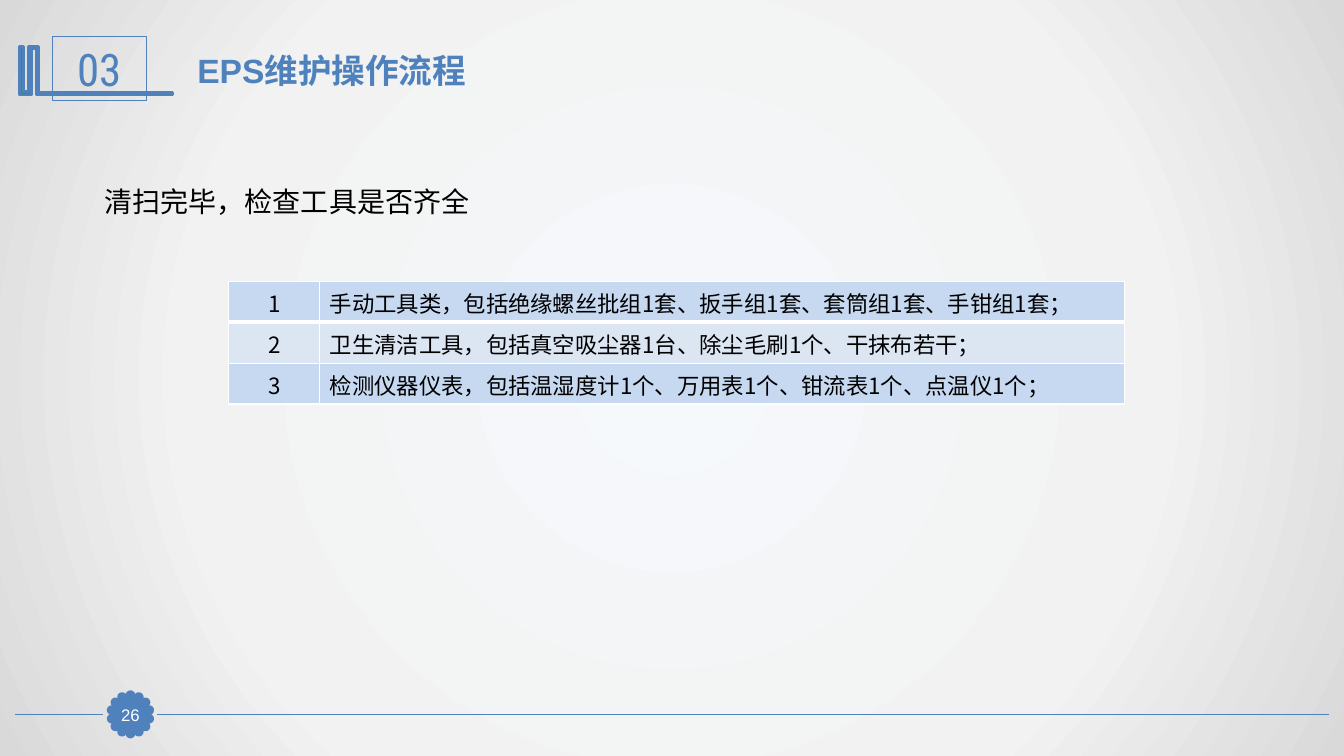
import math

from lxml import etree
from pptx import Presentation
from pptx.dml.color import RGBColor
from pptx.enum import shapes, text
from pptx.oxml import ns
from pptx.util import Pt

BLUE = RGBColor(0x4F, 0x81, 0xBD)
GREEN = RGBColor(0x33, 0x99, 0x33)
BLACK = RGBColor(0, 0, 0)
WHITE = RGBColor(0xFF, 0xFF, 0xFF)
ROW_DARK = RGBColor(0xC6, 0xD9, 0xF1)
ROW_LIGHT = RGBColor(0xDC, 0xE6, 0xF2)
BACKGROUND_STOPS = [
    (0, RGBColor(0xF6, 0xF9, 0xFC)),
    (63, RGBColor(0xF2, 0xF2, 0xF2)),
    (100, RGBColor(0xD9, 0xD9, 0xD9)),
]
CJK_FONT = "Noto Sans CJK SC"
TOOLS = [
    "手动工具类，包括绝缘螺丝批组1套、扳手组1套、套筒组1套、手钳组1套；",
    "卫生清洁工具，包括真空吸尘器1台、除尘毛刷1个、干抹布若干；",
    "检测仪器仪表，包括温湿度计1个、万用表1个、钳流表1个、点温仪1个；",
]


def add_child(parent, tag, **attributes):
    return etree.SubElement(parent, ns.qn(tag), attributes)


def write_text(frame, words, size, color, font="Arial", bold=False,
               align=text.PP_ALIGN.LEFT, anchor=None, inset=None, hanging=0):
    if anchor is not None:
        frame.vertical_anchor = anchor
    if inset is not None:
        frame.margin_left = frame.margin_right = Pt(inset)
        frame.margin_top = frame.margin_bottom = Pt(inset)
    paragraph = frame.paragraphs[0]
    paragraph.alignment = align
    if hanging:
        properties = paragraph._p.get_or_add_pPr()
        properties.set("marL", str(Pt(hanging)))
        properties.set("indent", str(-Pt(hanging)))
    run = paragraph.add_run()
    run.text = words
    run.font.name = font
    run.font.size = Pt(size)
    run.font.bold = bold
    run.font.color.rgb = color
    add_child(run._r.get_or_add_rPr(), "a:ea", typeface=CJK_FONT)


def add_text(slide, box, words, **text_format):
    frame = slide.shapes.add_textbox(*map(Pt, box)).text_frame
    frame.word_wrap = True
    write_text(frame, words, **text_format)


def style_shape(shape, fill, line_width):
    shape.shadow.inherit = False
    if fill is None:
        shape.fill.background()
    else:
        shape.fill.solid()
        shape.fill.fore_color.rgb = fill
    shape.line.color.rgb = BLUE
    shape.line.width = Pt(line_width)


def add_preset(slide, preset, box, fill=None, line_width=0.75):
    shape = slide.shapes.add_shape(preset, *map(Pt, box))
    style_shape(shape, fill, line_width)
    return shape


def set_background(slide):
    """Radial gradient, light in the middle."""
    slide.background.fill.gradient()
    gradient = slide._element.find(".//" + ns.qn("a:gradFill"))
    for child in list(gradient):
        gradient.remove(child)
    stops = add_child(gradient, "a:gsLst")
    for position, color in BACKGROUND_STOPS:
        stop = add_child(stops, "a:gs", pos=str(position * 1000))
        add_child(stop, "a:srgbClr", val=str(color))
    path = add_child(gradient, "a:path", path="circle")
    add_child(path, "a:fillToRect", l="50000", t="50000", r="50000", b="50000")


def add_footer(slide, left, right, middle):
    """Rule across the slide, broken by a scalloped page badge."""
    center = left + 82.4
    for start, end in [(right, center + 19), (center - 19.8, left)]:
        line = slide.shapes.add_connector(
            shapes.MSO_CONNECTOR.STRAIGHT, Pt(start), Pt(middle), Pt(end), Pt(middle))
        line.line.color.rgb = BLUE
        line.line.width = Pt(1.25)
        add_child(line._element.spPr, "a:effectLst")

    # Ring of dots
    dots, radius, dot = 14, 13.7, 5
    for index in range(dots):
        angle = 2 * math.pi * index / dots
        x = center + radius * math.sin(angle) - dot / 2
        y = middle - radius * math.cos(angle) - dot / 2
        add_preset(slide, shapes.MSO_SHAPE.OVAL, (x, y, dot, dot), BLUE, 2)

    # Page number
    badge = add_preset(slide, shapes.MSO_SHAPE.RECTANGLE,
                       (center - 11.5, middle - 11.2, 23, 22.4), BLUE)
    write_text(badge.text_frame, "26", size=12, color=WHITE, inset=0,
               align=text.PP_ALIGN.CENTER, anchor=text.MSO_ANCHOR.MIDDLE)


def add_header(slide, left, top):
    """Bracket ornament, section number and title."""
    bracket = [
        (13, 7.2), (13.7, 7.2), (13.7, 40.3), (109.4, 40.3), (109.4, 41.8),
        (12.2, 41.8), (12.2, 8.6), (8.6, 8.6), (8.6, 41.8), (0, 41.8),
        (0, 7.2), (2.9, 7.2), (2.9, 39.6), (6.5, 39.6), (6.5, 7.2),
    ]
    points = [(Pt(left + x), Pt(top + y)) for x, y in bracket]
    builder = slide.shapes.build_freeform(*points[0])
    builder.add_line_segments(points[1:], close=True)
    style_shape(builder.convert_to_shape(), GREEN, 2)

    number = add_preset(slide, shapes.MSO_SHAPE.RECTANGLE,
                        (left + 23.7, top, 67, 46))
    write_text(number.text_frame, "03", size=32, color=BLUE,
               font="Roboto Condensed", align=text.PP_ALIGN.CENTER,
               anchor=text.MSO_ANCHOR.MIDDLE)
    add_text(slide, (left + 120.2, top + 5.8, 698, 36), "EPS维护操作流程",
             size=24, color=BLUE, bold=True)


def set_borders(cell, **widths):
    properties = cell._tc.get_or_add_tcPr()
    for index, side in enumerate("LRTB"):
        border = etree.Element(ns.qn("a:ln" + side), w=str(Pt(widths.get(side, 1))))
        fill = add_child(border, "a:solidFill")
        add_child(fill, "a:srgbClr", val=str(WHITE))
        properties.insert(index, border)


def add_tool_table(slide, left, top, width, row_height):
    number_width = 65
    frame = slide.shapes.add_table(len(TOOLS), 2, Pt(left), Pt(top), Pt(width),
                                   Pt(row_height * len(TOOLS)))
    table = frame.table
    table.first_row = table.horz_banding = False
    table.columns[0].width = Pt(number_width)
    table.columns[1].width = Pt(width - number_width)
    aligns = [text.PP_ALIGN.CENTER, text.PP_ALIGN.LEFT]
    for row, tool in enumerate(TOOLS):
        table.rows[row].height = Pt(row_height)
        for column, words in enumerate([str(row + 1), tool]):
            cell = table.cell(row, column)
            cell.vertical_anchor = text.MSO_ANCHOR.MIDDLE
            cell.fill.solid()
            cell.fill.fore_color.rgb = ROW_LIGHT if row % 2 else ROW_DARK
            # Heavier rule under the first row
            set_borders(cell, T=3 if row == 1 else 1, B=3 if row == 0 else 1)
            write_text(cell.text_frame, words, size=16, color=BLACK,
                       font=CJK_FONT, align=aligns[column])


def main():
    presentation = Presentation()
    presentation.slide_width = Pt(960)
    presentation.slide_height = Pt(540)
    slide = presentation.slides.add_slide(presentation.slide_layouts[6])
    set_background(slide)
    add_footer(slide, left=10.8, right=949, middle=510.3)
    add_header(slide, left=13.7, top=26)
    add_text(slide, (67.7, 128, 400, 31.5), "清扫完毕，检查工具是否齐全",
             size=20, color=BLACK, hanging=36)
    add_tool_table(slide, left=163.4, top=201, width=640, row_height=29.2)
    presentation.save("out.pptx")


if __name__ == "__main__":
    main()
